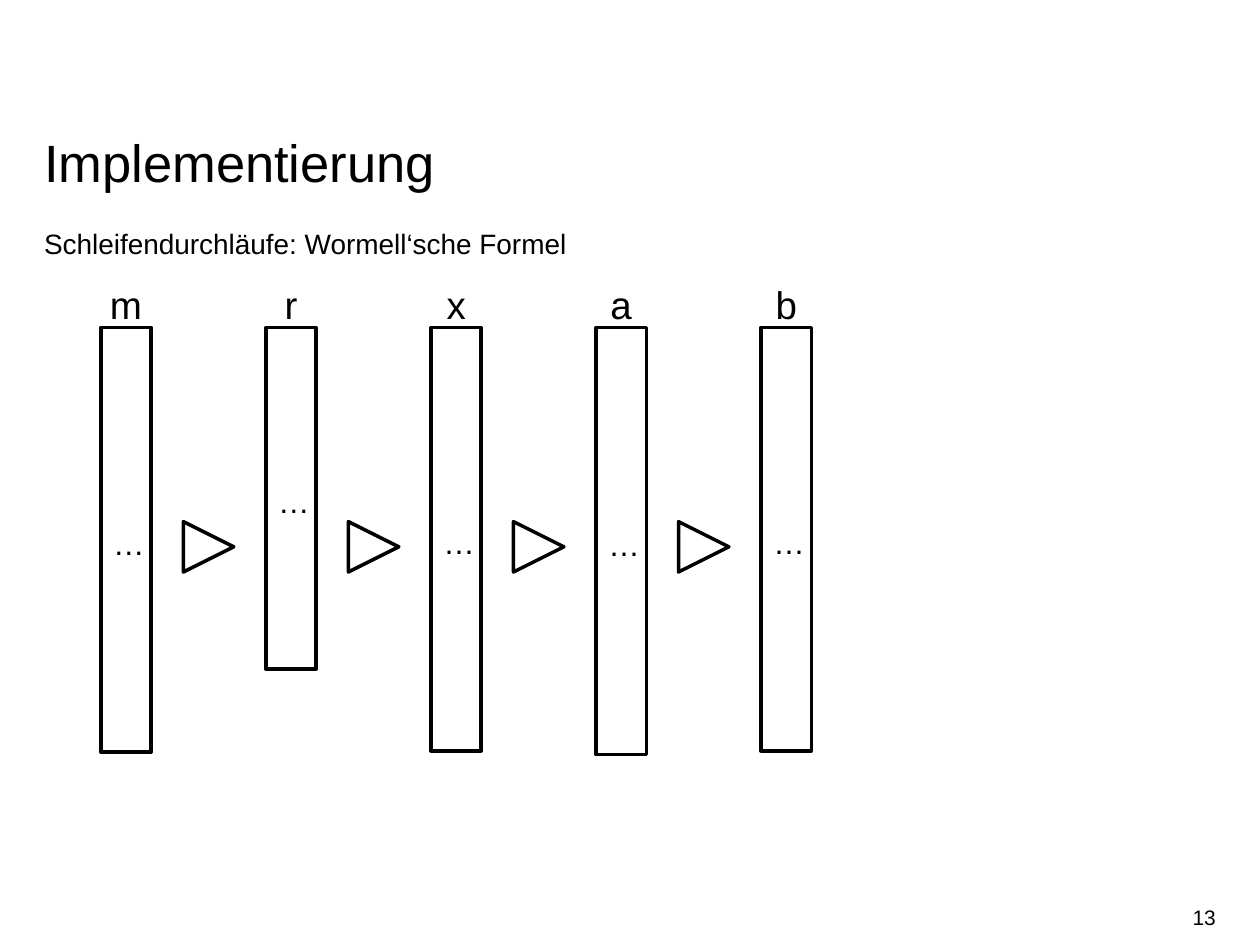
from pptx import Presentation
from pptx.dml.color import RGBColor
from pptx.enum.shapes import MSO_SHAPE
from pptx.enum.text import MSO_ANCHOR, PP_ALIGN
from pptx.util import Inches, Pt

BLACK = RGBColor(0, 0, 0)
WHITE = RGBColor(255, 255, 255)
RECT, ARROW = MSO_SHAPE.RECTANGLE, MSO_SHAPE.ISOSCELES_TRIANGLE
TOP, MIDDLE = MSO_ANCHOR.TOP, MSO_ANCHOR.MIDDLE
LEFT, CENTER, RIGHT = PP_ALIGN.LEFT, PP_ALIGN.CENTER, PP_ALIGN.RIGHT

FONT = "Arial"
SPACING = 1.14
SIDE = 0.4
START, STEP = 0.8, 1.31
BAR_TOP = 2.6
BARS = [("m", 3.37), ("r", 2.71), ("x", 3.36), ("a", 3.39), ("b", 3.36)]


def write(frame, text, size, align, spacing):
    frame.text = text
    para = frame.paragraphs[0]
    para.alignment = align
    para.line_spacing = spacing
    font = para.runs[0].font
    font.name, font.size = FONT, Pt(size)
    font.color.rgb = BLACK


def add_text(slide, box, text, size, align=LEFT, anchor=TOP, spacing=SPACING):
    frame = slide.shapes.add_textbox(*map(Inches, box)).text_frame
    frame.word_wrap = True
    frame.vertical_anchor = anchor
    frame.margin_left = frame.margin_right = 0
    frame.margin_top = frame.margin_bottom = 0
    write(frame, text, size, align, spacing)


def add_outline(shapes, kind, box):
    """Add a white shape with a black outline."""
    shape = shapes.add_shape(kind, *map(Inches, box))
    shape.shadow.inherit = False
    shape.fill.solid()
    shape.fill.fore_color.rgb = WHITE
    shape.line.color.rgb = BLACK
    shape.line.width = Pt(2)
    return shape


def add_bar(slide, left, name, height):
    """Add a named array bar as one group."""
    group = slide.shapes.add_group_shape()
    bar = add_outline(group.shapes, RECT, (left, BAR_TOP, SIDE, height))
    bar.text_frame.vertical_anchor = MIDDLE
    write(bar.text_frame, "…", 18, CENTER, SPACING)
    add_text(group, (left, 2.19, SIDE, SIDE), name, 22, CENTER, MIDDLE)


def add_arrow(slide, left):
    arrow = add_outline(slide.shapes, ARROW, (left, 4.14, SIDE, SIDE))
    arrow.rotation = 90


def main():
    deck = Presentation()
    deck.slide_width, deck.slide_height = Inches(10), Inches(7.5)
    slide = deck.slides.add_slide(deck.slide_layouts[6])

    add_text(slide, (0.35, 1.09, 9.31, 0.45), "Implementierung", 30,
             spacing=Pt(32))
    add_text(slide, (0.35, 1.76, 4.88, 0.66),
             "Schleifendurchläufe: Wormell‘sche Formel", 16)
    add_text(slide, (7.41, 7.08, 2.24, 0.4), "13", 12, RIGHT, MIDDLE, 1.0)

    for index, (name, height) in enumerate(BARS):
        left = START + index * STEP
        add_bar(slide, left, name, height)
        if index:
            add_arrow(slide, left - STEP / 2)

    deck.save("out.pptx")


if __name__ == "__main__":
    main()
